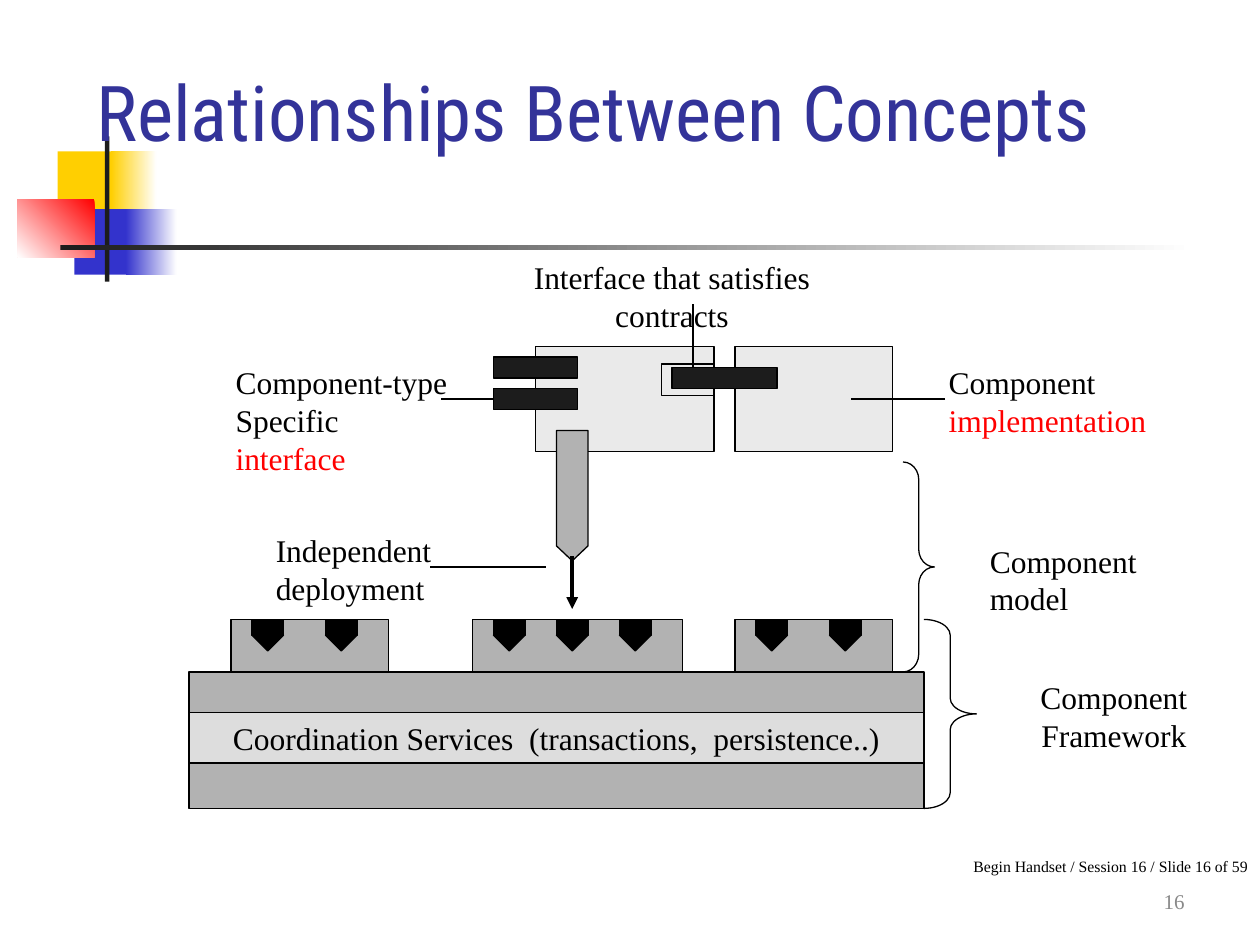
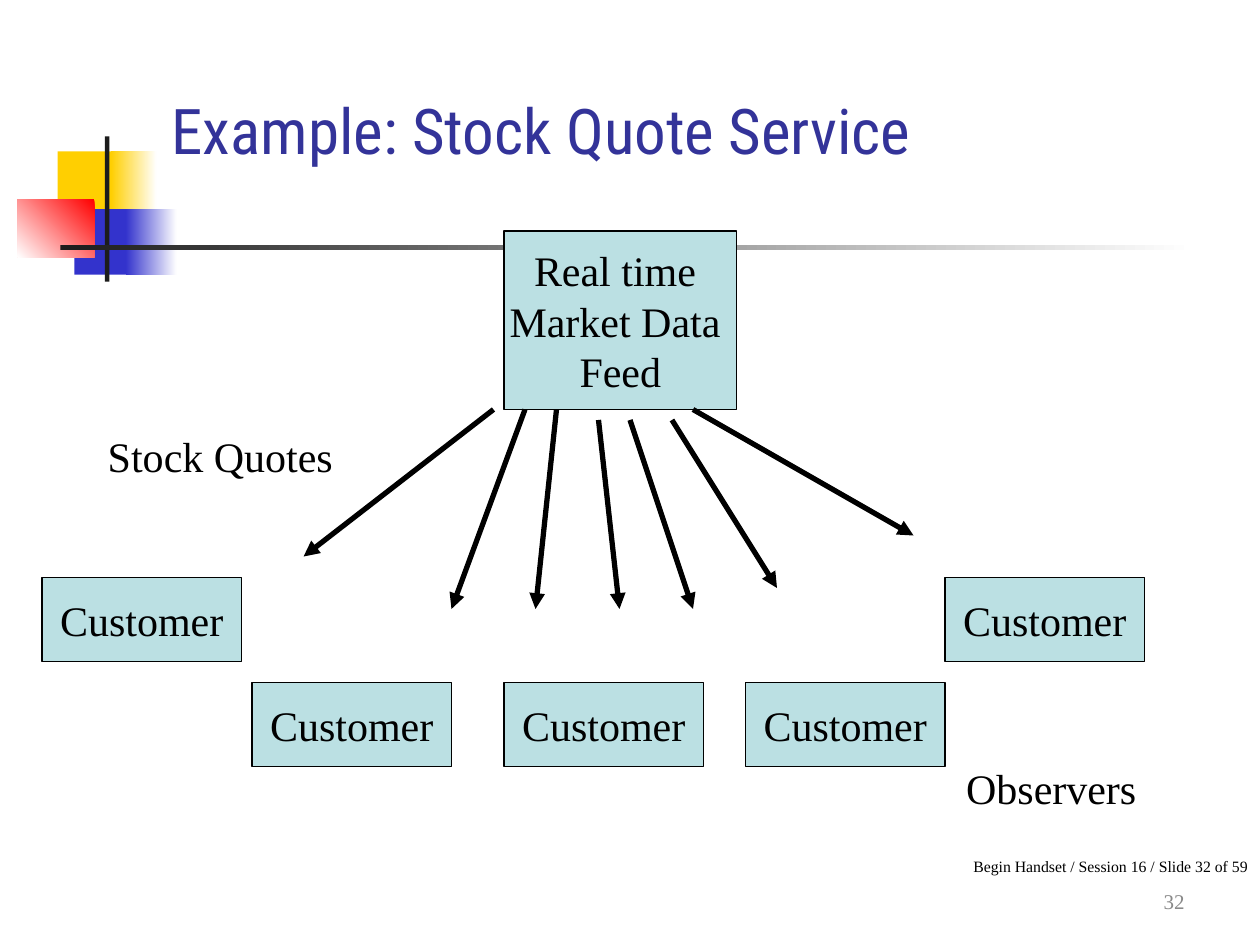
import collections

import lxml.etree
import pptx
import pptx.dml.color
import pptx.enum.shapes
import pptx.enum.text
import pptx.oxml.ns
import pptx.util

Pt = pptx.util.Pt
RGBColor = pptx.dml.color.RGBColor
SHAPE = pptx.enum.shapes.MSO_SHAPE
ALIGN = pptx.enum.text.PP_ALIGN
ANCHOR = pptx.enum.text.MSO_ANCHOR
qn = pptx.oxml.ns.qn

# Colours
BLACK = RGBColor(0x00, 0x00, 0x00)
WHITE = RGBColor(0xFF, 0xFF, 0xFF)
INK = RGBColor(0x1C, 0x1C, 0x1C)
YELLOW = RGBColor(0xFF, 0xCF, 0x01)
BLUE = RGBColor(0x33, 0x33, 0xCC)
RED = RGBColor(0xFF, 0x00, 0x00)
TITLE_BLUE = RGBColor(0x33, 0x33, 0x99)
NUMBER_GRAY = RGBColor(0x89, 0x89, 0x89)
BASE_GRAY = RGBColor(0xB2, 0xB2, 0xB2)
STRIP_GRAY = RGBColor(0xDD, 0xDD, 0xDD)
COMPONENT_GRAY = RGBColor(0xEA, 0xEA, 0xEA)
PALE_TEAL = RGBColor(0xBB, 0xE0, 0xE3)

TITLE_FONT = "Roboto Condensed"
BODY_FONT = "Times New Roman"
SLIDE_TOTAL = 59
THIN = 0.75


class Box(collections.namedtuple("Box", "left top width height")):
    """A rectangle in points."""

    def inside(self, left, top, width, height):
        return Box(self.left + left, self.top + top, width, height)

    def point(self, x, y):
        return self.left + x, self.top + y

    def lengths(self):
        return [Pt(value) for value in self]


PAGE = Box(0, 0, 720, 540)


# Drawing helpers
def write_text(shape, lines, size, color=BLACK, align=ALIGN.LEFT, anchor=ANCHOR.TOP,
               font_name=BODY_FONT, side_inset=7.2, last_color=None):
    frame = shape.text_frame
    frame_format = {"word_wrap": True, "vertical_anchor": anchor,
                    "margin_left": Pt(side_inset), "margin_right": Pt(side_inset),
                    "margin_top": Pt(3.6), "margin_bottom": Pt(3.6)}
    for name, value in frame_format.items():
        setattr(frame, name, value)
    for index, line in enumerate(lines):
        paragraph = frame.paragraphs[0] if index == 0 else frame.add_paragraph()
        paragraph.alignment = align
        if font_name == BODY_FONT:
            paragraph.line_spacing = Pt(1.2 * size)
        run = paragraph.add_run()
        run.text = line
        for name, value in {"name": font_name, "size": Pt(size)}.items():
            setattr(run.font, name, value)
        is_last = index == len(lines) - 1
        run.font.color.rgb = last_color if last_color and is_last else color


def add_text(slide, box, lines, size, **text_format):
    write_text(slide.shapes.add_textbox(*box.lengths()), lines, size, **text_format)


def paint(shape, fill, line=BLACK):
    shape.shadow.inherit = False
    if fill is None:
        shape.fill.background()
    else:
        shape.fill.solid()
        shape.fill.fore_color.rgb = fill
    if line is None:
        shape.line.fill.background()
    else:
        shape.line.color.rgb = line
        shape.line.width = Pt(THIN)


def add_block(slide, box, fill, line=BLACK, kind=SHAPE.RECTANGLE):
    shape = slide.shapes.add_shape(kind, *box.lengths())
    paint(shape, fill, line)
    return shape


def add_fade(slide, box, color, angle=0):
    shape = add_block(slide, box, WHITE, None)
    shape.fill.gradient()
    shape.fill.gradient_angle = angle
    for stop, stop_color in zip(shape.fill.gradient_stops, (color, WHITE)):
        stop.color.rgb = stop_color


def add_line(slide, start, end, width=THIN, arrow=False):
    connector = slide.shapes.add_connector(
        pptx.enum.shapes.MSO_CONNECTOR.STRAIGHT, *[Pt(value) for value in start + end])
    connector.line.color.rgb = BLACK
    connector.line.width = Pt(width)
    if arrow:
        line = connector.line._get_or_add_ln()
        lxml.etree.SubElement(line, qn("a:tailEnd"), type="triangle")
    properties = connector._element.find(qn("p:spPr"))
    lxml.etree.SubElement(properties, qn("a:effectLst"))


def add_brace(slide, box, bend):
    brace = add_block(slide, box, None, kind=SHAPE.RIGHT_BRACE)
    brace.adjustments[0] = bend
    brace.adjustments[1] = 0.5


# Parts shared by the slides
def add_ornament(slide, box):
    add_block(slide, box.inside(23, 8.5, 34.5, 37.5), YELLOW, None)
    add_fade(slide, box.inside(53.5, 8.5, 26, 37.5), YELLOW)
    add_block(slide, box.inside(32.5, 41.5, 33, 37.5), BLUE, None)
    add_fade(slide, box.inside(62, 41.5, 29, 37.5), BLUE)
    add_fade(slide, box.inside(0, 36, 44, 33), RED, angle=225)
    add_block(slide, box.inside(50, 0, 2.5, box.height), INK, None)
    add_fade(slide, box.inside(24.5, 62, box.width - 24.5, 2.75), INK)


def add_footer(slide, box, number):
    add_text(slide, box.inside(0, 0, box.width, 18),
             [f"Begin Handset / Session 16 / Slide {number} of {SLIDE_TOTAL}"], 9,
             align=ALIGN.RIGHT)
    add_text(slide, box.inside(150, 14.5, 168, 29), [str(number)], 12,
             color=NUMBER_GRAY, align=ALIGN.RIGHT, anchor=ANCHOR.MIDDLE)


def start_slide(presentation, number, title, title_box, title_size):
    slide = presentation.slides.add_slide(presentation.slide_layouts[6])
    add_ornament(slide, PAGE.inside(10, 78, 672.5, 83))
    add_footer(slide, PAGE.inside(366, 486, 354, 44), number)
    add_text(slide, title_box, [title], title_size, color=TITLE_BLUE,
             anchor=ANCHOR.MIDDLE, font_name=TITLE_FONT)
    return slide


# Regions of the concepts slide
def add_components(slide, box):
    add_block(slide, box.inside(24, 0, 102, box.height), COMPONENT_GRAY)
    add_block(slide, box.inside(138, 0, 90, box.height), COMPONENT_GRAY)
    for top in (6, 24):
        add_block(slide, box.inside(0, top, 48, 12), INK)
    add_block(slide, box.inside(96, 10, 30, 18), COMPONENT_GRAY)
    add_block(slide, box.inside(102, 12, 60, 12), INK)

    # Callouts around the components
    add_text(slide, box.inside(-18, -54, 240, 50),
             ["Interface that satisfies", "contracts"], 18, align=ALIGN.CENTER)
    add_line(slide, box.point(114, -24), box.point(114, 12))
    add_text(slide, box.inside(-154.5, 6, 140, 72),
             ["Component-type", "Specific", "interface"], 18, last_color=RED)
    add_line(slide, box.point(-30, 30), box.point(0, 30))
    add_text(slide, box.inside(253, 6, 140, 50),
             ["Component", "implementation"], 18, last_color=RED)
    add_line(slide, box.point(258, 30), box.point(204, 30))


def add_deployment(slide, box):
    corners = [(0, 0), (box.width, 0), (box.width, 66), (box.width / 2, 74.5), (0, 66)]
    points = [tuple(Pt(value) for value in box.point(*corner)) for corner in corners]
    builder = slide.shapes.build_freeform(*points[0])
    builder.add_line_segments(points[1:], close=True)
    paint(builder.convert_to_shape(), BASE_GRAY)
    add_line(slide, box.point(box.width / 2, 72), box.point(box.width / 2, box.height),
             width=2.25, arrow=True)
    add_text(slide, box.inside(-167.5, 54, 120, 50), ["Independent", "deployment"], 18)
    add_line(slide, box.point(-72, 78), box.point(-6, 78))


def add_socket_base(slide, box, slot_offsets):
    add_block(slide, box, BASE_GRAY)
    for offset in slot_offsets:
        tip = add_block(slide, box.inside(offset, 9, 18, 9), BLACK,
                        kind=SHAPE.ISOSCELES_TRIANGLE)
        tip.rotation = 180
        add_block(slide, box.inside(offset, 0, 18, 9), BLACK)


def add_framework(slide, box):
    for left, width, slots in ((24, 90, (12, 54)), (162, 120, (12, 48, 84)),
                               (312, 90, (12, 54))):
        add_socket_base(slide, box.inside(left, 0, width, 30), slots)
    add_block(slide, box.inside(0, 30, box.width, 78), BASE_GRAY)
    strip = add_block(slide, box.inside(0, 53, box.width, 29), STRIP_GRAY)
    write_text(strip, ["Coordination Services  (transactions,  persistence..)"], 18,
               align=ALIGN.CENTER, anchor=ANCHOR.MIDDLE)

    # Braces with their names
    add_brace(slide, box.inside(408, -90, 18, 120), 0.56)
    add_brace(slide, box.inside(box.width, 0, 30, box.height), 0.3)
    add_text(slide, box.inside(450.5, -48, 110, 50), ["Component", "model"], 18)
    add_text(slide, box.inside(473.5, 30, 110, 50), ["Component", "Framework"], 18,
             align=ALIGN.CENTER)


def build_concepts_slide(presentation):
    slide = start_slide(presentation, 16, "Relationships Between Concepts",
                        PAGE.inside(48, 11, 654, 104), 44)
    add_components(slide, PAGE.inside(282, 198, 228, 60))
    add_deployment(slide, PAGE.inside(318, 246, 18, 102))
    add_framework(slide, PAGE.inside(108, 354, 420, 108))


# Regions of the stock quote slide
def add_party(slide, box, lines):
    write_text(add_block(slide, box, PALE_TEAL), lines, 24, align=ALIGN.CENTER,
               anchor=ANCHOR.MIDDLE, side_inset=0)


def add_feed(slide, box):
    add_party(slide, box, ["Real time ", "Market Data ", "Feed"])
    arrows = [((-6, 102), (-114.5, 186)), ((12, 102), (-30, 216)),
              ((30, 102), (18, 216)), ((54, 108), (66, 216)),
              ((72, 108), (108, 216)), ((96, 108), (156, 204)),
              ((108, 102), (234, 174))]
    for start, end in arrows:
        add_line(slide, box.point(*start), box.point(*end), width=3, arrow=True)
    add_text(slide, box.inside(-233.5, 110.5, 152, 36), ["Stock Quotes"], 24)


def add_observers(slide, box):
    for left, top in ((0, 0), (120, 60), (264, 60), (402, 60), (516, 0)):
        add_party(slide, box.inside(left, top, 114, 48), ["Customer"])
    add_text(slide, box.inside(521, 102, 125, 36), ["Observers"], 24)


def build_quote_slide(presentation):
    slide = start_slide(presentation, 32, "Example: Stock Quote Service",
                        PAGE.inside(91, 48, 613, 52), 36)
    add_feed(slide, PAGE.inside(288, 132, 133, 102))
    add_observers(slide, PAGE.inside(24, 330, 630, 138))


def main():
    presentation = pptx.Presentation()
    presentation.slide_width = Pt(PAGE.width)
    presentation.slide_height = Pt(PAGE.height)
    build_concepts_slide(presentation)
    build_quote_slide(presentation)
    presentation.save("out.pptx")


if __name__ == "__main__":
    main()
